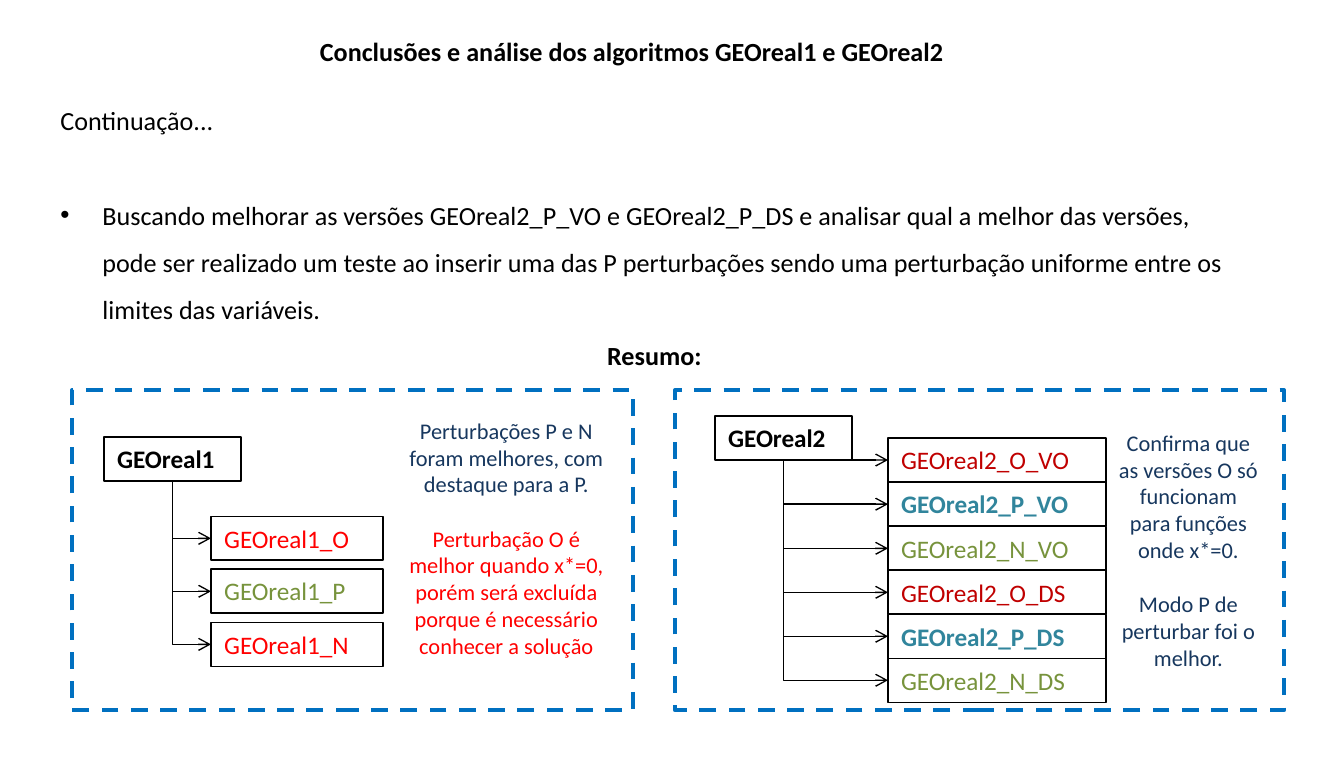
from lxml.etree import SubElement
from pptx import Presentation
from pptx.dml.color import RGBColor
from pptx.enum.dml import MSO_LINE
from pptx.enum.shapes import MSO_CONNECTOR, MSO_SHAPE
from pptx.enum.text import MSO_ANCHOR, MSO_AUTO_SIZE, PP_ALIGN
from pptx.oxml.ns import qn
from pptx.util import Inches, Pt

SCALE = Inches(10) / 1344
FONT = "Calibri"
COLORS = {
    "black": "000000",
    "red": "FF0000",
    "dark red": "C00000",
    "green": "77933C",
    "teal": "31859C",
    "navy": "17375E",
    "frame": "0070C0",
}
NODE_H = 44


def px(*lengths):
    return [round(length * SCALE) for length in lengths]


def color(name):
    return RGBColor.from_string(COLORS[name])


def add_text(paragraph, text, size, color_name="black", bold=False):
    run = paragraph.add_run()
    run.text = text
    run.font.name = FONT
    run.font.size = Pt(size)
    run.font.bold = bold
    run.font.color.rgb = color(color_name)


def place(shape, box):
    shape.left, shape.top, shape.width, shape.height = px(*box)
    frame = shape.text_frame
    frame.word_wrap = True
    frame.auto_size = MSO_AUTO_SIZE.NONE
    frame.vertical_anchor = MSO_ANCHOR.TOP
    return frame


def set_line(shape, color_name, width):
    shape.line.color.rgb = color(color_name)
    shape.line.width = Pt(width)


def add_rect(shapes, box, line_color, line_width):
    rect = shapes.add_shape(MSO_SHAPE.RECTANGLE, *px(*box))
    rect.shadow.inherit = False
    rect.fill.background()
    set_line(rect, line_color, line_width)
    return rect


def add_node(shapes, box, text, color_name, bold):
    frame = add_rect(shapes, box, "black", 0.75).text_frame
    frame.word_wrap = True
    frame.vertical_anchor = MSO_ANCHOR.TOP
    frame.paragraphs[0].alignment = PP_ALIGN.LEFT
    add_text(frame.paragraphs[0], text, 13.5, color_name, bold)


def add_branch(shapes, x1, y1, x2, y2):
    """Elbow that goes down, then right, and ends in an arrow."""
    run, drop = x2 - x1, y2 - y1
    mid_x, mid_y = (x1 + x2) / 2, (y1 + y2) / 2
    branch = shapes.add_connector(
        MSO_CONNECTOR.ELBOW,
        *px(mid_x - drop / 2, mid_y - run / 2, mid_x + drop / 2, mid_y + run / 2))
    set_line(branch, "black", 0.75)
    properties = branch._element.spPr
    properties.find(qn("a:prstGeom")).set("prst", "bentConnector2")
    transform = properties.find(qn("a:xfrm"))
    transform.set("rot", "5400000")
    transform.set("flipV", "1")
    SubElement(properties.find(qn("a:ln")), qn("a:tailEnd"), type="arrow")
    SubElement(properties, qn("a:effectLst"))


def add_note(shapes, box, notes):
    frame = place(shapes.add_textbox(*px(*box)), box)
    for index, (text, color_name) in enumerate(notes):
        paragraph = frame.add_paragraph() if index else frame.paragraphs[0]
        paragraph.alignment = PP_ALIGN.CENTER
        paragraph.space_before = Pt(14.6 if index else 0)
        add_text(paragraph, text, 12, color_name)


def add_panel(slide, box, root, root_at, versions, versions_box, pitch, note_box, notes):
    """Dashed panel with an algorithm, its versions and remarks on them."""
    left, top, width, height = box
    shapes = slide.shapes.add_group_shape().shapes

    # Algorithm
    root_x, root_y, root_w = left + root_at[0], top + root_at[1], 137
    add_node(shapes, (root_x, root_y, root_w, NODE_H), root, "black", True)

    # Versions and the branches that lead to them
    x, first_y, version_w = left + versions_box[0], top + versions_box[1], versions_box[2]
    for index, (suffix, color_name, bold) in enumerate(versions):
        y = first_y + index * pitch
        add_node(shapes, (x, y, version_w, NODE_H), f"{root}_{suffix}", color_name, bold)
        add_branch(shapes, root_x + root_w / 2, root_y + NODE_H, x, y + NODE_H / 2)

    # Remarks and frame
    note_x, note_y, note_w, note_h = note_box
    add_note(shapes, (left + note_x, top + note_y, note_w, note_h), notes)
    frame = add_rect(shapes, box, "frame", 2.25)
    frame.line.dash_style = MSO_LINE.DASH


def add_title(slide, box):
    title = place(slide.shapes.title, box).paragraphs[0]
    title.alignment = PP_ALIGN.CENTER
    add_text(title, "Conclusões e análise dos algoritmos GEOreal1 e GEOreal2", 14, bold=True)


def add_body(slide, box):
    frame = place(slide.placeholders[1], box)
    intro, point = frame.paragraphs[0], frame.add_paragraph()
    for paragraph in (intro, point):
        paragraph.line_spacing = 1.5
    intro.space_before = Pt(0)
    point.space_before = Pt(25.4)

    intro_format = intro._p.get_or_add_pPr()
    intro_format.set("marL", "0")
    intro_format.set("indent", "0")
    SubElement(intro_format, qn("a:buNone"))
    point_format = point._p.get_or_add_pPr()
    point_format.set("marL", "285750")
    point_format.set("indent", "-285750")
    SubElement(point_format, qn("a:buChar"), char="•")

    add_text(intro, "Continuação...", 14)
    add_text(point, "Buscando melhorar as versões GEOreal2_P_VO e GEOreal2_P_DS e analisar "
             "qual a melhor das versões, pode ser realizado um teste ao inserir uma das P "
             "perturbações sendo uma perturbação uniforme entre os limites das variáveis.", 14)


def add_summary_heading(slide, box):
    heading = place(slide.shapes.add_textbox(*px(*box)), box).paragraphs[0]
    heading.alignment = PP_ALIGN.CENTER
    heading.line_spacing = 1.5
    add_text(heading, "Resumo:", 14, bold=True)


def main():
    presentation = Presentation()
    presentation.slide_width, presentation.slide_height = Inches(10), Inches(5.63)
    slide = presentation.slides.add_slide(presentation.slide_layouts[1])

    add_title(slide, (268, 29, 728, 46))
    add_body(slide, (47, 82, 1214, 298))

    add_panel(
        slide, (72, 390, 561, 320), "GEOreal1", (32, 47),
        [("O", "red", False), ("P", "green", False), ("N", "red", False)],
        (139, 126, 172), 53, (319, 20, 231, 285),
        [("Perturbações P e N foram melhores, com destaque para a P.", "navy"),
         ("Perturbação O é melhor quando x*=0, porém será excluída porque é "
          "necessário conhecer a solução", "red")])

    modes = [("O", "dark red", False), ("P", "teal", True), ("N", "green", False)]
    add_panel(
        slide, (675, 390, 609, 320), "GEOreal2", (40, 26),
        [(f"{mode}_{kind}", color_name, bold)
         for kind in ("VO", "DS") for mode, color_name, bold in modes],
        (213, 48, 218), 44, (430, 32, 167, 258),
        [("Confirma que as versões O só funcionam para funções onde x*=0.", "navy"),
         ("Modo P de perturbar foi o melhor.", "navy")])

    add_summary_heading(slide, (559, 317, 191, 60))
    presentation.save("out.pptx")


if __name__ == "__main__":
    main()
